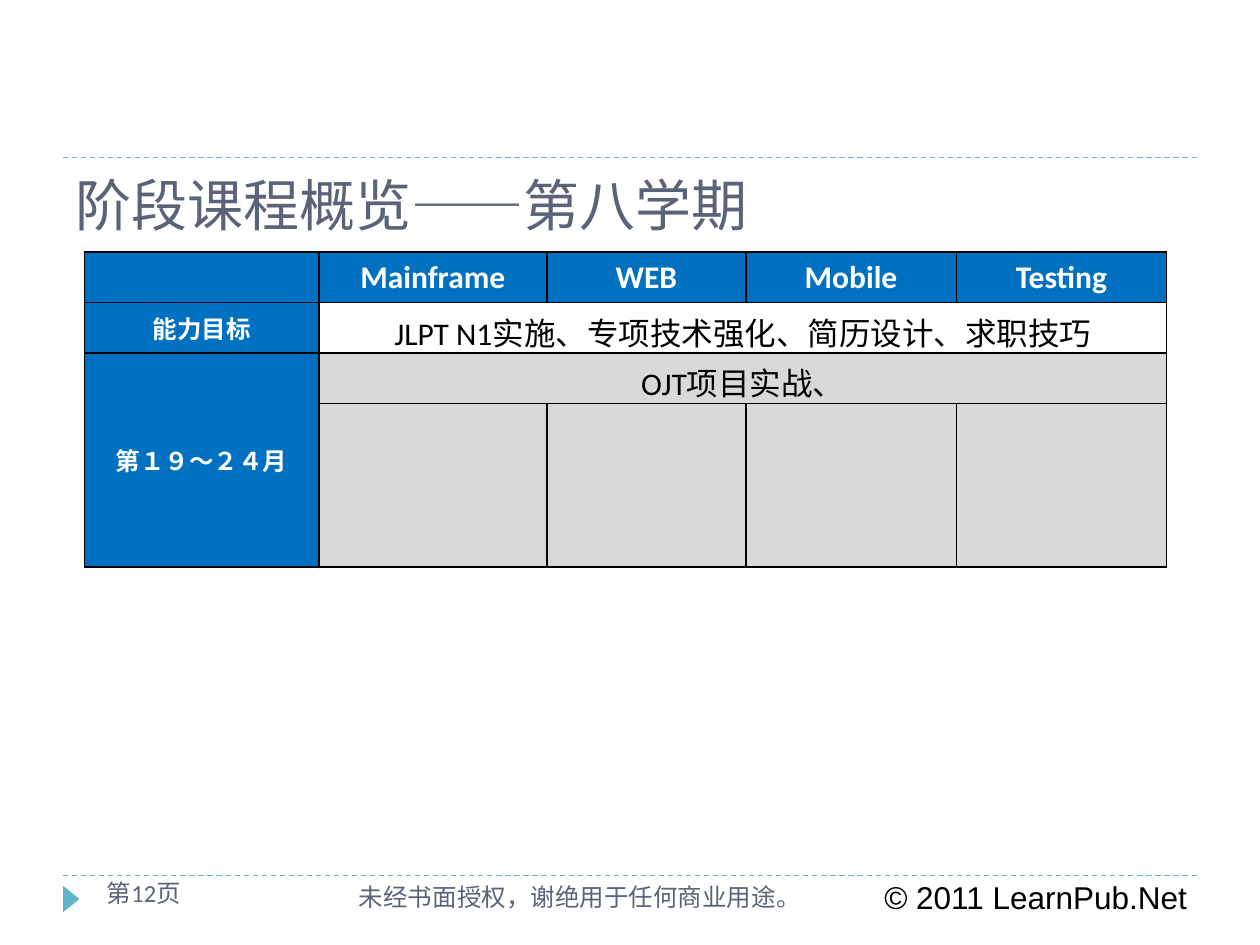
from pptx import Presentation
from pptx.dml.color import RGBColor
from pptx.enum.dml import MSO_LINE
from pptx.enum.shapes import MSO_CONNECTOR, MSO_SHAPE
from pptx.enum.text import MSO_ANCHOR, PP_ALIGN
from pptx.oxml import parse_xml
from pptx.oxml.ns import nsdecls
from pptx.util import Inches, Pt

COLORS = {
    "accent": "60B5CC",
    "slate": "5A6378",
    "header": "0070C0",
    "grey": "D9D9D9",
    "white": "FFFFFF",
    "black": "000000",
}


class SlideBuilder:
    def __init__(self, page):
        self.page = page

    def color(self, name):
        return RGBColor.from_string(COLORS[name])

    def span(self, paragraph, text, size, color, font="Calibri", bold=False):
        span = paragraph.add_run()
        span.text = text
        span.font.name = font
        span.font.size = Pt(size)
        span.font.bold = bold
        span.font.color.rgb = self.color(color)

    def text(self, left, top, width, height, text, size, color,
             font="Calibri", anchor=MSO_ANCHOR.TOP):
        box = self.page.shapes.add_textbox(
            Inches(left), Inches(top), Inches(width), Inches(height))
        box.text_frame.word_wrap = True
        box.text_frame.vertical_anchor = anchor
        self.span(box.text_frame.paragraphs[0], text, size, color, font)

    def dashed_rule(self, top):
        rule = self.page.shapes.add_connector(
            MSO_CONNECTOR.STRAIGHT, Inches(0.5), Inches(top), Inches(9.5), Inches(top))
        rule.line.color.rgb = self.color("accent")
        rule.line.width = Pt(0.75)
        rule.line.dash_style = MSO_LINE.DASH
        rule._element.spPr.append(parse_xml(f"<a:effectLst {nsdecls('a')}/>"))

    def page_marker(self, left, top, width, height):
        marker = self.page.shapes.add_shape(
            MSO_SHAPE.ISOSCELES_TRIANGLE,
            Inches(left), Inches(top), Inches(width), Inches(height))
        marker.rotation = 90
        marker.shadow.inherit = False
        marker.fill.solid()
        marker.fill.fore_color.rgb = self.color("accent")
        marker.line.fill.background()

    def table(self, left, top, widths, heights):
        frame = self.page.shapes.add_table(
            len(heights), len(widths), Inches(left), Inches(top),
            Inches(sum(widths)), Inches(sum(heights)))
        table = frame.table
        table.first_row = table.horz_banding = False
        for column, width in zip(table.columns, widths):
            column.width = Inches(width)
        for row, height in zip(table.rows, heights):
            row.height = Inches(height)
        return table

    def style_cell(self, cell, fill):
        properties = cell._tc.get_or_add_tcPr()
        for side in ("lnL", "lnR", "lnT", "lnB"):
            properties.append(parse_xml(
                f'<a:{side} {nsdecls("a")} w="{Pt(1)}"><a:solidFill>'
                f'<a:srgbClr val="{COLORS["black"]}"/></a:solidFill></a:{side}>'))
        cell.fill.solid()
        cell.fill.fore_color.rgb = self.color(fill)

    def cell_text(self, cell, text, size, color, bold):
        cell.vertical_anchor = MSO_ANCHOR.MIDDLE
        paragraph = cell.text_frame.paragraphs[0]
        paragraph.alignment = PP_ALIGN.CENTER
        self.span(paragraph, text, size, color, bold=bold)


def add_course_table(builder):
    table = builder.table(0.67, 2, [1.86, 1.81, 1.58, 1.67, 1.67], [0.4, 0.4, 0.4, 1.3])
    body_fills = ["header", "white", "grey", "grey"]
    for row, body_fill in enumerate(body_fills):
        for column in range(len(table.columns)):
            builder.style_cell(table.cell(row, column), body_fill if column else "header")

    for row in (1, 2):
        table.cell(row, 1).merge(table.cell(row, 4))
    table.cell(2, 0).merge(table.cell(3, 0))

    for column, track in enumerate(["Mainframe", "WEB", "Mobile", "Testing"], 1):
        builder.cell_text(table.cell(0, column), track, 18, "white", True)
    rows = [("能力目标", "JLPT N1实施、专项技术强化、简历设计、求职技巧"),
            ("第１９～２４月", "OJT项目实战、")]
    for row, (label, content) in enumerate(rows, 1):
        builder.cell_text(table.cell(row, 0), label, 14, "white", True)
        builder.cell_text(table.cell(row, 1), content, 18, "black", False)


def main():
    deck = Presentation()
    deck.slide_width, deck.slide_height = Inches(10), Inches(7.5)
    builder = SlideBuilder(deck.slides.add_slide(deck.slide_layouts[6]))

    for top in (6.95, 1.25):
        builder.dashed_rule(top)
    builder.page_marker(0.46, 7.07, 0.21, 0.13)
    builder.text(6.92, 6.92, 2.67, 0.4, "© 2011 LearnPub.Net", 18, "black", "Arial")
    builder.text(2.75, 6.95, 4, 0.4, "未经书面授权，谢绝用于任何商业用途。", 14, "slate")
    builder.text(0.75, 6.92, 1.66, 0.4, "第12页", 14, "slate")
    add_course_table(builder)
    builder.text(0.5, 1.33, 9, 0.58, "阶段课程概览——第八学期", 32, "slate",
                 "TeX Gyre Bonum", MSO_ANCHOR.MIDDLE)
    deck.save("out.pptx")


if __name__ == "__main__":
    main()
